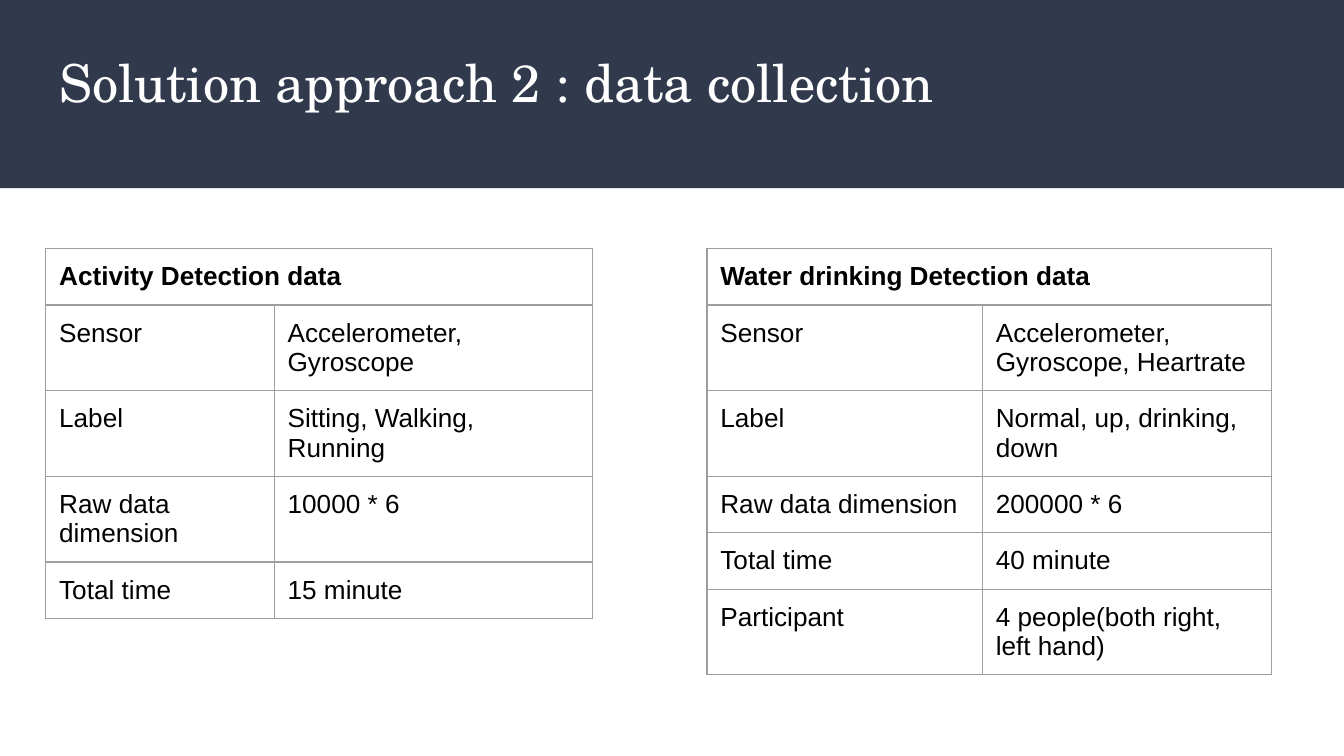
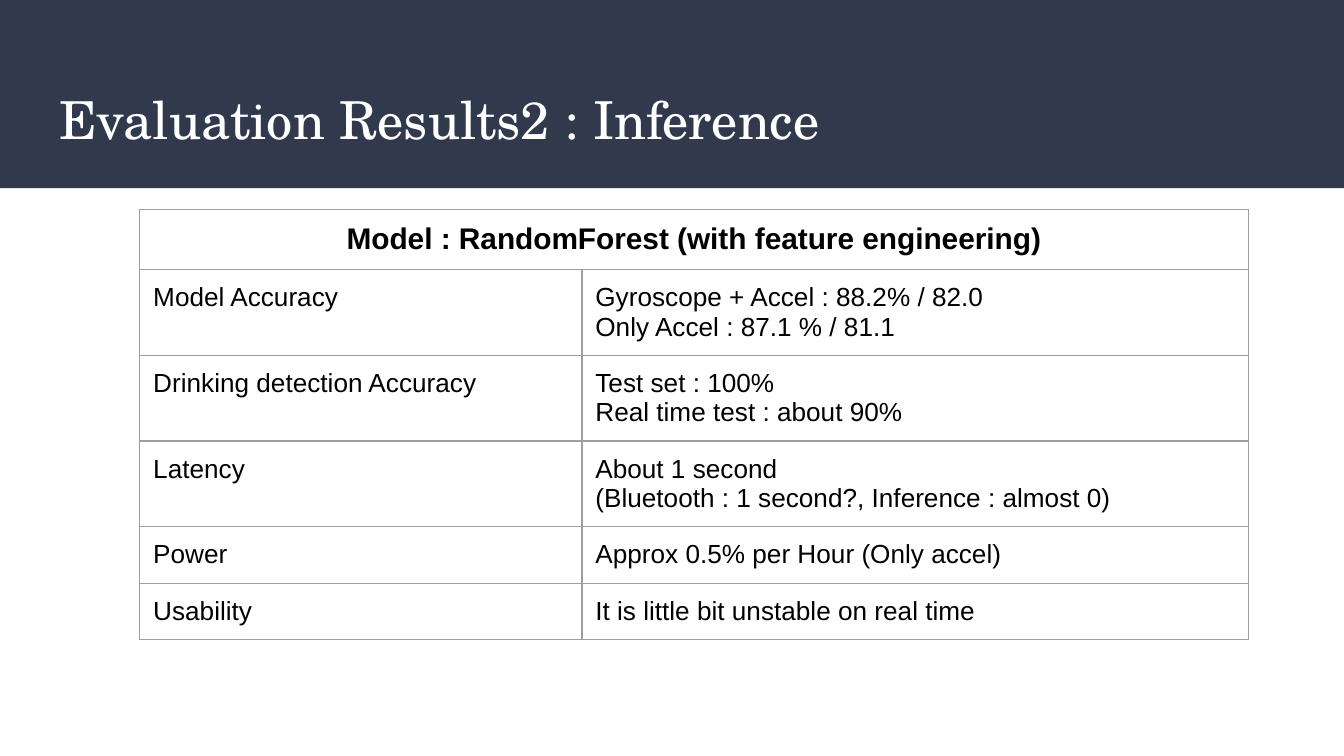
from lxml.etree import SubElement
from pptx import Presentation
from pptx.dml.color import RGBColor
from pptx.enum.shapes import MSO_SHAPE as Shape
from pptx.enum.text import MSO_ANCHOR as Anchor, MSO_AUTO_SIZE as AutoSize, PP_ALIGN as Align
from pptx.oxml.ns import qn
from pptx.util import Inches, Pt

NAVY, WHITE, BLACK, GREY = "31394D", "FFFFFF", "000000", "9E9E9E"
TITLE_FONT, BODY_FONT = "TeX Gyre Schola", "Arial"
PAGE_WIDTH, BAND_HEIGHT = 10, 1.4
PAGE_HEIGHT = PAGE_WIDTH * 9 / 16
ROW_HEIGHT, INSET = 0.42, 0.1

ACTIVITY_ROWS = [
    ("Sensor", "Accelerometer, Gyroscope"),
    ("Label", "Sitting, Walking, Running"),
    ("Raw data dimension", "10000 * 6"),
    ("Total time", "15 minute"),
]
DRINKING_ROWS = [
    ("Sensor", "Accelerometer, Gyroscope, Heartrate"),
    ("Label", "Normal, up, drinking, down"),
    ("Raw data dimension", "200000 * 6"),
    ("Total time", "40 minute"),
    ("Participant", "4 people(both right, left hand)"),
]
INFERENCE_ROWS = [
    ("Model Accuracy", "Gyroscope + Accel : 88.2% / 82.0\nOnly Accel : 87.1 % / 81.1"),
    ("Drinking detection Accuracy", "Test set : 100%\nReal time test : about 90%"),
    ("Latency", "About 1 second\n(Bluetooth : 1 second?, Inference : almost 0)"),
    ("Power", "Approx 0.5% per Hour (Only accel)"),
    ("Usability", "It is little bit unstable on real time"),
]


def color(hex_text):
    return RGBColor.from_string(hex_text)


def set_margins(holder):
    """Works for a text frame and for a table cell alike."""
    holder.margin_left = holder.margin_right = Inches(INSET)
    holder.margin_top = holder.margin_bottom = Inches(INSET)


def style_text(frame, font_name, size, hex_text, bold=False, align=Align.LEFT):
    for para in frame.paragraphs:
        para.alignment = align
        para.font.name = font_name
        para.font.size = Pt(size)
        para.font.bold = bold
        para.font.color.rgb = color(hex_text)


# Shared title band, kept on the layout behind every title
def add_band(page):
    band = page.shapes.add_shape(Shape.RECTANGLE, 0, 0, Inches(PAGE_WIDTH), Inches(BAND_HEIGHT))
    band.shadow.inherit = False
    band.fill.solid()
    band.fill.fore_color.rgb = color(NAVY)
    band.line.fill.background()
    page.slide_layout.shapes._spTree.insert(2, band._element)


def set_title(page, text, top, height):
    title = page.shapes.title
    title.left, title.top = Inches(0.34), Inches(top)
    title.width, title.height = Inches(9.32), Inches(height)
    frame = title.text_frame
    frame.text = text
    frame.word_wrap = True
    frame.auto_size = AutoSize.NONE
    frame.vertical_anchor = Anchor.TOP
    set_margins(frame)
    style_text(frame, TITLE_FONT, 28, WHITE)


def add_borders(cell):
    props = cell._tc.get_or_add_tcPr()
    for side in ("lnL", "lnR", "lnT", "lnB"):
        line = SubElement(props, qn(f"a:{side}"), w=str(Pt(0.75)))
        fill = SubElement(line, qn("a:solidFill"))
        SubElement(fill, qn("a:srgbClr"), val=GREY)


# Two-column table under one merged heading
def add_facts(page, left, top, widths, heading, rows, heading_size=14, heading_align=Align.LEFT):
    count = len(rows) + 1
    frame = page.shapes.add_table(count, 2, Inches(left), Inches(top),
                                  Inches(sum(widths)), Inches(ROW_HEIGHT * count))
    table = frame.table
    table.first_row = table.horz_banding = False
    for column, width in zip(table.columns, widths):
        column.width = Inches(width)
    for cell in table.iter_cells():
        set_margins(cell)
        add_borders(cell)
        cell.fill.background()

    heading_cell = table.cell(0, 0)
    heading_cell.merge(table.cell(0, 1))
    heading_cell.text = heading
    style_text(heading_cell.text_frame, BODY_FONT, heading_size, BLACK, True, heading_align)
    for row_index, row in enumerate(rows, 1):
        for column_index, text in enumerate(row):
            cell = table.cell(row_index, column_index)
            cell.text = text
            style_text(cell.text_frame, BODY_FONT, 14, BLACK)


def build_collection(page):
    set_title(page, "Solution approach 2 : data collection", 0.27, 0.96)
    add_facts(page, 0.34, 1.85, (1.7, 2.37), "Activity Detection data", ACTIVITY_ROWS)
    add_facts(page, 5.26, 1.85, (2.05, 2.15), "Water drinking Detection data", DRINKING_ROWS)


def build_inference(page):
    set_title(page, "Evaluation Results2 : Inference", 0.55, 0.68)
    add_facts(page, 1.04, 1.56, (3.29, 4.96), "Model : RandomForest (with feature engineering)",
              INFERENCE_ROWS, 16, Align.CENTER)


def main():
    deck = Presentation()
    deck.slide_width, deck.slide_height = Inches(PAGE_WIDTH), Inches(PAGE_HEIGHT)
    title_only = deck.slide_layouts[5]
    pages = [deck.slides.add_slide(title_only) for _ in range(2)]
    add_band(pages[0])
    build_collection(pages[0])
    build_inference(pages[1])
    deck.save("out.pptx")


if __name__ == "__main__":
    main()
